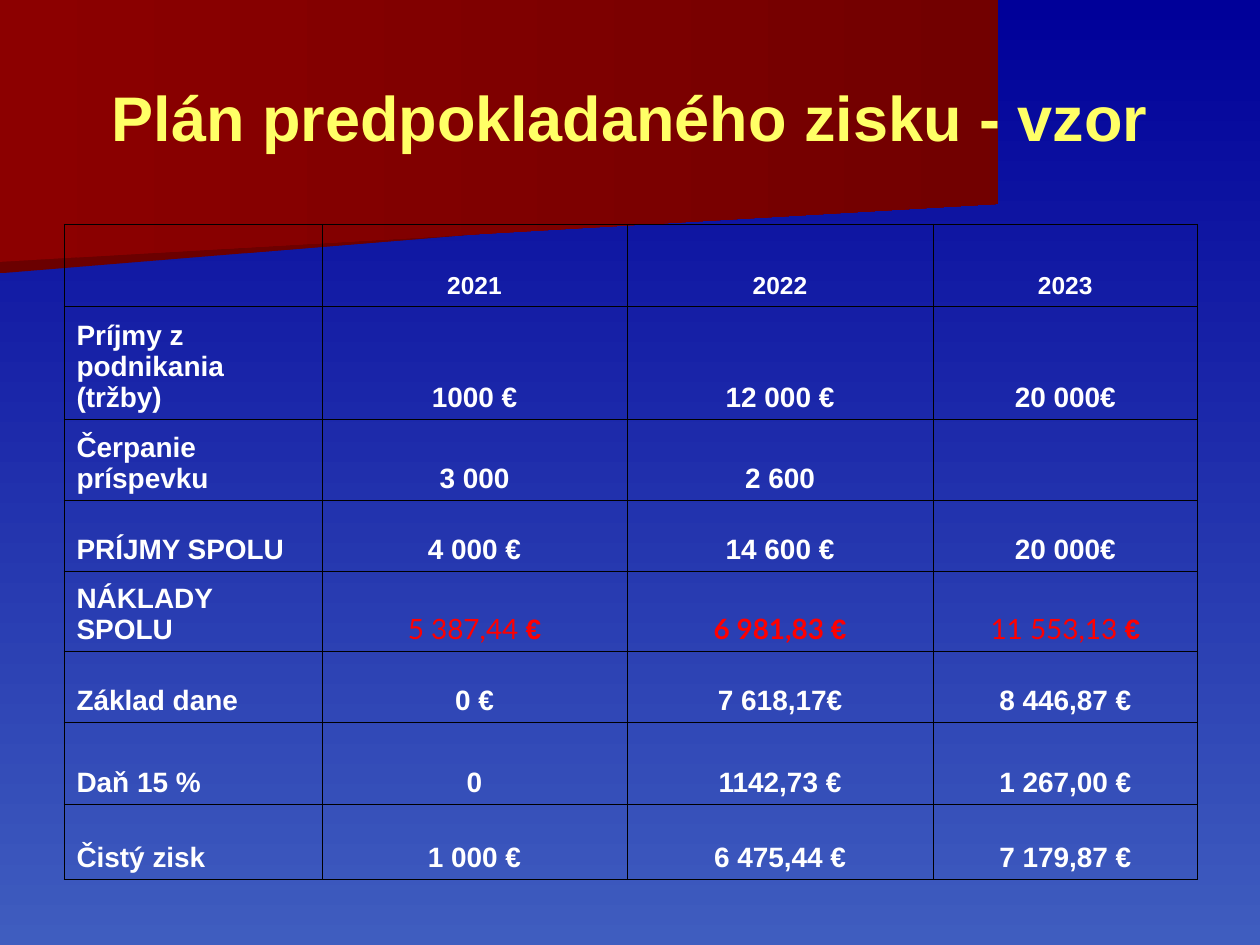
from pptx import Presentation
from pptx.dml.color import RGBColor as Rgb
from pptx.enum.text import MSO_ANCHOR as Anchor, PP_ALIGN as Align
from pptx.oxml import parse_xml
from pptx.oxml.ns import nsdecls
from pptx.util import Cm, Pt

COLORS = {
    "sky": "000099", "haze": "3F5DBF", "red": "8C0000", "wine": "720000",
    "dark": "6B0000", "title": "FFFF66", "text": "FFFFFF", "cost": "FF0000",
    "grid": "000000",
}
COLS = [5.2, 6.15, 6.17, 5.33]
ROWS = [1.65, 2.28, 1.63, 1.43, 1.62, 1.43, 1.65, 1.51]
COST_ROW = 4
COST_BOLD = [False, True, False]
PLAN = [
    ["", "2021", "2022", "2023"],
    ["Príjmy z podnikania (tržby)", "1000 €", "12 000 €", "20 000€"],
    ["Čerpanie príspevku", "3 000", "2 600", ""],
    ["PRÍJMY SPOLU", "4 000 €", "14 600 €", "20 000€"],
    ["NÁKLADY SPOLU", "5 387,44 €", "6 981,83 €", "11 553,13 €"],
    ["Základ dane", "0 €", "7 618,17€", "8 446,87 €"],
    ["Daň 15 %", "0", "1142,73 €", "1 267,00 €"],
    ["Čistý zisk", "1 000 €", "6 475,44 €", "7 179,87 €"],
]


def blend(fill, names, angle):
    fill.gradient()
    fill.gradient_angle = angle
    for stop, name in zip(fill.gradient_stops, names):
        stop.color.rgb = Rgb.from_string(COLORS[name])


def add_run(para, text, color, **style):
    run = para.add_run()
    run.text = text
    for key, value in {"name": "Arial", "bold": True, **style}.items():
        setattr(run.font, key, value)
    run.font.color.rgb = Rgb.from_string(COLORS[color])


def add_flag(slide, box, edge, names):
    """Draw a band whose bottom edge slopes from full height up to edge."""
    left, top, width, height = box
    right, low = left + width, top + height
    pen = slide.shapes.build_freeform(Cm(left), Cm(top))
    points = [(right, top), (right, top + edge), (left, low)]
    pen.add_line_segments([(Cm(x), Cm(y)) for x, y in points])
    flag = pen.convert_to_shape()
    flag.shadow.inherit = False
    flag.line.fill.background()
    blend(flag.fill, names, 0)


def add_title(slide, box, text):
    frame = slide.shapes.add_textbox(*map(Cm, box)).text_frame
    frame.word_wrap = True
    frame.vertical_anchor = Anchor.MIDDLE
    para = frame.paragraphs[0]
    para.alignment = Align.CENTER
    add_run(para, text, "title", size=Pt(36))


def add_grid(cell):
    props = cell._tc.get_or_add_tcPr()
    for side in "LRTB":
        props.append(parse_xml(
            f'<a:ln{side} {nsdecls("a")} w="{Pt(0.45)}"><a:solidFill>'
            f'<a:srgbClr val="{COLORS["grid"]}"/></a:solidFill></a:ln{side}>'))
    cell.fill.background()


def fill_cell(cell, row, col):
    text = PLAN[row][col]
    cell.vertical_anchor = Anchor.BOTTOM
    add_grid(cell)
    if not text:
        return
    para = cell.text_frame.paragraphs[0]
    para.alignment = Align.CENTER if col else Align.LEFT
    size = Pt(16 if row else 14)
    if row == COST_ROW and col:
        add_run(para, text[:-1], "cost", size=size, name="Lato",
                bold=COST_BOLD[col - 1])
        add_run(para, text[-1], "cost", size=size)
    else:
        add_run(para, text, "text", size=size)


def add_plan(slide, left, top):
    box = [left, top, sum(COLS), sum(ROWS)]
    table = slide.shapes.add_table(
        len(ROWS), len(COLS), *map(Cm, box)).table
    table.first_row = table.horz_banding = False
    for col, width in zip(table.columns, COLS):
        col.width = Cm(width)
    for row, height in zip(table.rows, ROWS):
        row.height = Cm(height)
    for row in range(len(ROWS)):
        for col in range(len(COLS)):
            fill_cell(table.cell(row, col), row, col)


def main():
    deck = Presentation()
    deck.slide_width, deck.slide_height = Cm(25.4), Cm(19.05)
    slide = deck.slides.add_slide(deck.slide_layouts[6])
    blend(slide.background.fill, ["sky", "haze"], 270)
    add_flag(slide, (0, 2.57, 19.77, 2.94), 1.32, ["dark", "wine"])
    add_flag(slide, (0, 0, 20.12, 5.28), 4.11, ["red", "wine"])
    add_title(slide, (1.27, 0.76, 22.86, 3.18),
              "Plán predpokladaného zisku - vzor")
    add_plan(slide, 1.29, 4.52)
    deck.save("out.pptx")


if __name__ == "__main__":
    main()
